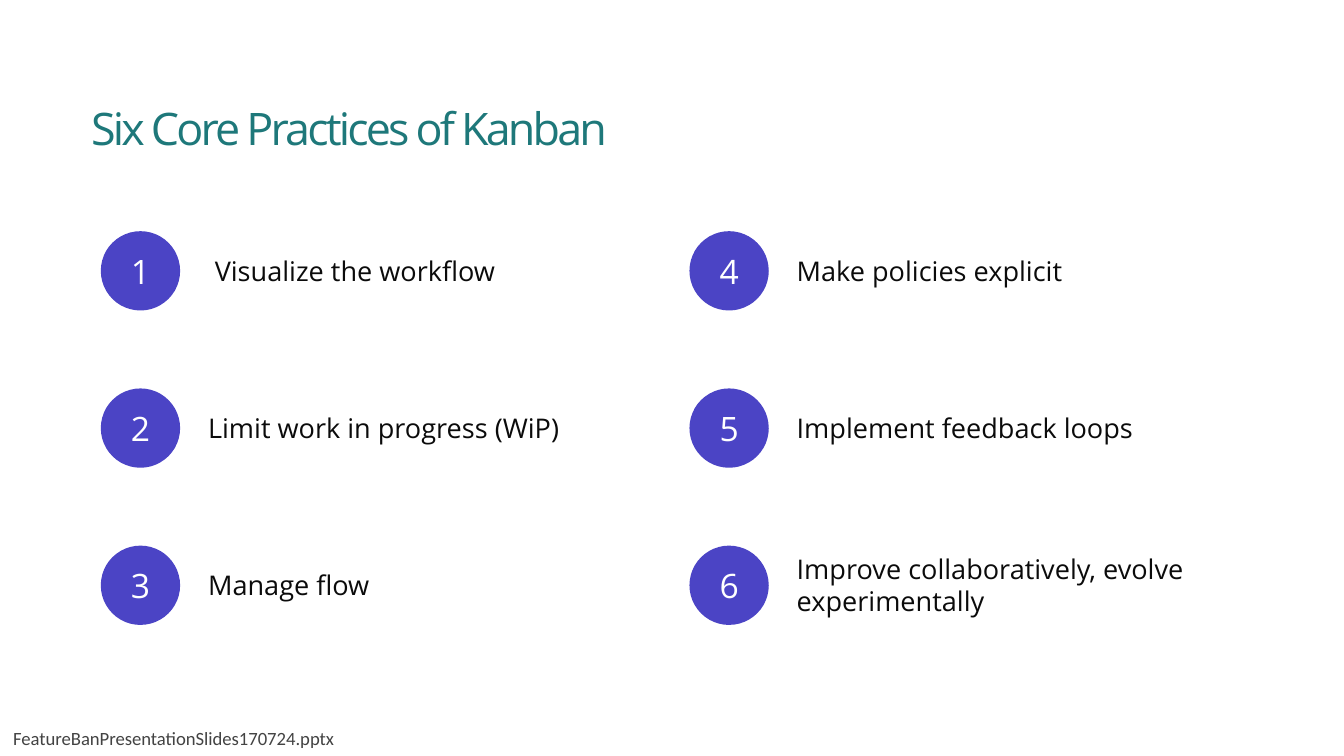
from pptx import Presentation
from pptx.dml.color import RGBColor
from pptx.enum.shapes import MSO_SHAPE
from pptx.enum.text import MSO_ANCHOR, MSO_AUTO_SIZE, PP_ALIGN
from pptx.util import Inches, Pt

ROUNDED = MSO_SHAPE.ROUNDED_RECTANGLE
MIDDLE = MSO_ANCHOR.MIDDLE
GROW = MSO_AUTO_SIZE.SHAPE_TO_FIT_TEXT
CENTER = PP_ALIGN.CENTER

TEAL = RGBColor(0x1E, 0x78, 0x7A)
INDIGO = RGBColor(0x4B, 0x44, 0xC5)
INK = RGBColor(0x0B, 0x0B, 0x0B)
GRAY = RGBColor(0x43, 0x43, 0x43)
WHITE = RGBColor(0xFF, 0xFF, 0xFF)

TITLE = "Six Core Practices of Kanban"
FOOTER = "FeatureBanPresentationSlides170724.pptx"
# Text, left, width and height of each label, numbered down the columns
PRACTICES = [
    ("Visualize the workflow", 1.5, 3, 0.35),
    ("Limit work in progress (WiP)", 1.45, 3.38, 0.35),
    ("Manage flow", 1.45, 1.88, 0.35),
    ("Make policies explicit", 5.83, 3.17, 0.35),
    ("Implement feedback loops", 5.83, 3.33, 0.35),
    ("Improve collaboratively, evolve experimentally", 5.83, 3.33, 0.59),
]

TITLE_FONT = {"name": "Open Sans", "size": Pt(24)}
LABEL_FONT = {"name": "Open Sans", "size": Pt(14.5)}
NUMBER_FONT = {"name": "Open Sans", "size": Pt(18)}
FOOTER_FONT = {"name": "Calibri", "size": Pt(10)}

SLIDE_WIDTH = Inches(10)
ROWS = 3
BADGE_LEFT, BADGE_TOP = 0.75, 1.72
COLUMN_STEP, ROW_STEP = 4.38, 1.17
BADGE_SIZE = 0.59


def write(shape, text, font, color, **frame_format):
    frame = shape.text_frame
    for attribute, value in frame_format.items():
        setattr(frame, attribute, value)
    paragraph = frame.paragraphs[0]
    run = paragraph.add_run()
    run.text = text
    for attribute, value in font.items():
        setattr(run.font, attribute, value)
    run.font.color.rgb = color
    return paragraph


def add_text(slide, box, text, font, color, **frame_format):
    shape = slide.shapes.add_textbox(*map(Inches, box))
    return write(shape, text, font, color, **frame_format)


def add_badge(slide, left, top, number):
    badge = slide.shapes.add_shape(
        ROUNDED, *map(Inches, (left, top, BADGE_SIZE, BADGE_SIZE)))
    badge.adjustments[0] = 0.5
    badge.shadow.inherit = False
    badge.fill.solid()
    badge.fill.fore_color.rgb = INDIGO
    badge.line.fill.background()
    paragraph = write(badge, str(number), NUMBER_FONT, WHITE,
                      word_wrap=False, vertical_anchor=MIDDLE)
    paragraph.alignment = CENTER


def main():
    deck = Presentation()
    deck.slide_width, deck.slide_height = SLIDE_WIDTH, SLIDE_WIDTH * 9 // 16
    slide = deck.slides.add_slide(deck.slide_layouts[6])

    title = add_text(slide, (0.58, 0.48, 8.33, 0.94), TITLE, TITLE_FONT, TEAL,
                     word_wrap=True, vertical_anchor=MIDDLE)
    title.runs[0].font._element.set("spc", "-150")

    for index, (practice, left, width, height) in enumerate(PRACTICES):
        column, row = divmod(index, ROWS)
        badge_top = BADGE_TOP + row * ROW_STEP
        add_badge(slide, BADGE_LEFT + column * COLUMN_STEP, badge_top, index + 1)
        label_top = badge_top + (BADGE_SIZE - height) / 2
        add_text(slide, (left, label_top, width, height), practice,
                 LABEL_FONT, INK, word_wrap=True, auto_size=GROW)

    add_text(slide, (0, 5.36, 2.64, 0.27), FOOTER, FOOTER_FONT, GRAY,
             word_wrap=False, auto_size=GROW)
    deck.save("out.pptx")


if __name__ == "__main__":
    main()
